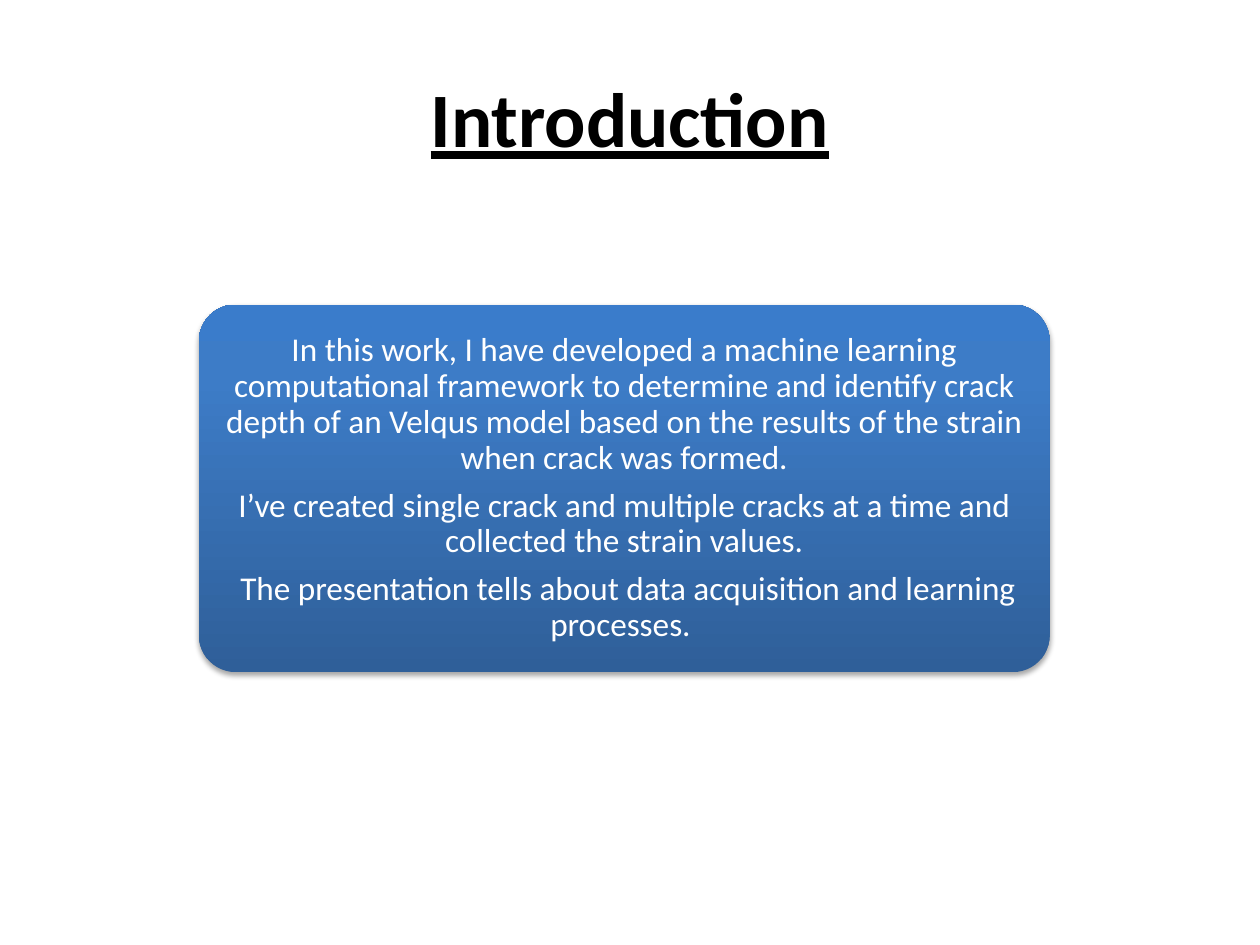
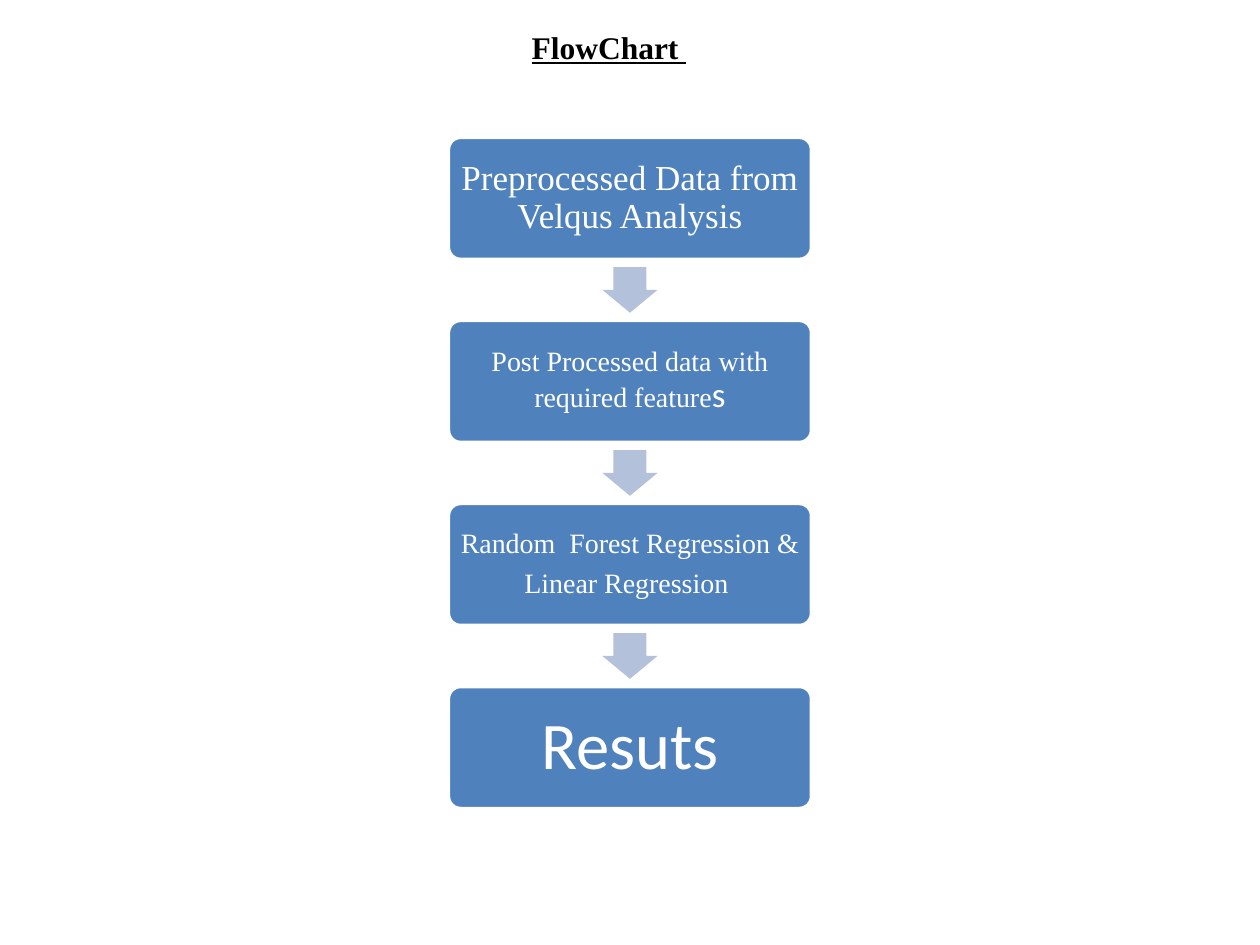
import copy

import pptx
import pptx.dml.color
import pptx.enum.shapes
import pptx.enum.text
import pptx.oxml
import pptx.oxml.ns
import pptx.util

Cm, Pt = pptx.util.Cm, pptx.util.Pt
RGBColor = pptx.dml.color.RGBColor
SHAPE = pptx.enum.shapes.MSO_SHAPE
ALIGN = pptx.enum.text.PP_ALIGN
ANCHOR = pptx.enum.text.MSO_ANCHOR
qn, nsdecls = pptx.oxml.ns.qn, pptx.oxml.ns.nsdecls

# Shared style
BLACK = RGBColor(0, 0, 0)
WHITE = RGBColor(255, 255, 255)
BLUE = RGBColor(0x4F, 0x81, 0xBD)
PALE_BLUE = RGBColor(0xB3, 0xC1, 0xDB)
GRADIENT = [(0, RGBColor(0x2F, 0x5F, 0x99)),
            (0.8, RGBColor(0x3D, 0x7C, 0xC7)),
            (1, RGBColor(0x3A, 0x7C, 0xCB))]
SANS, SERIF = "Calibri", "Times New Roman"
WIDTH, HEIGHT = 25.4, 19.05


def add_run(p, text, size=18, font=SANS, color=WHITE, bold=False, underline=False):
    r = p.add_run()
    r.text = text
    f = r.font
    f.size, f.name, f.bold, f.underline = Pt(size), font, bold, underline
    f.color.rgb = color


class Deck:
    def __init__(self):
        self.prs = pptx.Presentation()
        self.prs.slide_width, self.prs.slide_height = Cm(WIDTH), Cm(HEIGHT)
        self.s = None

    def slide(self):
        self.s = self.prs.slides.add_slide(self.prs.slide_layouts[6])

    def title(self, text, x, y, w, h, size, font):
        tf = self.s.shapes.add_textbox(Cm(x), Cm(y), Cm(w), Cm(h)).text_frame
        tf.word_wrap = True
        tf.vertical_anchor = ANCHOR.MIDDLE
        p = tf.paragraphs[0]
        p.alignment = ALIGN.CENTER
        add_run(p, text, size=size, font=font, color=BLACK, bold=True, underline=True)

    def shape(self, kind, x, y, w, h, adjustments, fill=None):
        sp = self.s.shapes.add_shape(kind, Cm(x), Cm(y), Cm(w), Cm(h))
        sp.shadow.inherit = False
        sp.line.fill.background()
        for i, value in enumerate(adjustments):
            sp.adjustments[i] = value
        if fill is not None:
            sp.fill.solid()
            sp.fill.fore_color.rgb = fill
        return sp

    def box(self, paragraphs, x, y, w, h, size, font=SANS, fill=None):
        """Rounded box; each paragraph is a list of (text, format) runs."""
        sp = self.shape(SHAPE.ROUNDED_RECTANGLE, x, y, w, h, [0.1], fill)
        tf = sp.text_frame
        tf.word_wrap = True
        tf.vertical_anchor = ANCHOR.MIDDLE
        tf.margin_left = tf.margin_right = tf.margin_top = tf.margin_bottom = Cm(0.1)
        for i, runs in enumerate(paragraphs):
            p = tf.add_paragraph() if i else tf.paragraphs[0]
            p.alignment = ALIGN.CENTER
            p.line_spacing = 0.9
            p.space_after = Pt(0.35 * size)
            for text, fmt in runs:
                add_run(p, text, **{"size": size, "font": font, **fmt})
        return sp

    def panel(self, paragraphs, x, y, w, h, size):
        """Box with a vertical gradient and a soft shadow."""
        sp = self.box(paragraphs, x, y, w, h, size)
        sp.fill.gradient()
        sp.fill.gradient_angle = 90
        spPr = sp._element.spPr
        stops = spPr.find(".//" + qn("a:gsLst"))
        stops.append(copy.deepcopy(stops[-1]))
        for stop, (position, color) in zip(sp.fill.gradient_stops, GRADIENT):
            stop.position = position
            stop.color.rgb = color
        spPr.find(qn("a:effectLst")).append(pptx.oxml.parse_xml(
            f'<a:outerShdw {nsdecls("a")} blurRad="{Pt(3.1)}" dist="{Pt(1.8)}" '
            'dir="5400000" rotWithShape="0"><a:srgbClr val="000000">'
            '<a:alpha val="35000"/></a:srgbClr></a:outerShdw>'))

    def step(self, paragraphs, x, y, w, h, size, font):
        sp = self.box(paragraphs, x, y, w, h, size, font, BLUE)
        sp.line.color.rgb = WHITE
        sp.line.width = Pt(2)

    def down_arrow(self, center_x, center_y, w, h):
        self.shape(SHAPE.DOWN_ARROW, center_x - w / 2, center_y - h / 2, w, h,
                   [0.6, 0.5], PALE_BLUE)


deck = Deck()

# Slide 1: introduction
deck.slide()
deck.title("Introduction", 1.27, 0.76, 22.86, 3.18, 44, SANS)
deck.panel([
    [("In this work, I have developed a machine learning computational framework "
      "to determine and identify crack depth of an Velqus model based on the "
      "results of the strain when crack was formed.", {})],
    [("I’ve created single crack and multiple cracks at a time and collected "
      "the strain values.", {})],
    [(" The presentation tells about data acquisition and learning processes. ", {})],
], 4.01, 6.14, 17.15, 7.41, 19)

# Slide 2: flow chart
deck.slide()
STEPS = [
    ([[("Preprocessed Data from Velqus Analysis", {})]], 20, SERIF),
    ([[("Post Processed data with required feature", {}),
       ("s", {"size": 20, "font": SANS})]], 16, SERIF),
    ([[("Random  Forest Regression &", {})], [("Linear Regression ", {})]], 16, SERIF),
    ([[("Resuts", {})]], 38, SANS),
]
STEP_W, STEP_H, TOP, PITCH = 7.32, 2.46, 2.77, 3.69
for i, (paragraphs, size, font) in enumerate(STEPS):
    y = TOP + i * PITCH
    if i:
        deck.down_arrow(WIDTH / 2, y - (PITCH - STEP_H) / 2, 1.11, 0.92)
    deck.step(paragraphs, (WIDTH - STEP_W) / 2, y, STEP_W, STEP_H, size, font)
deck.title("FlowChart ", 7.62, 0.43, 9.32, 1.02, 18, SERIF)

deck.prs.save("out.pptx")
